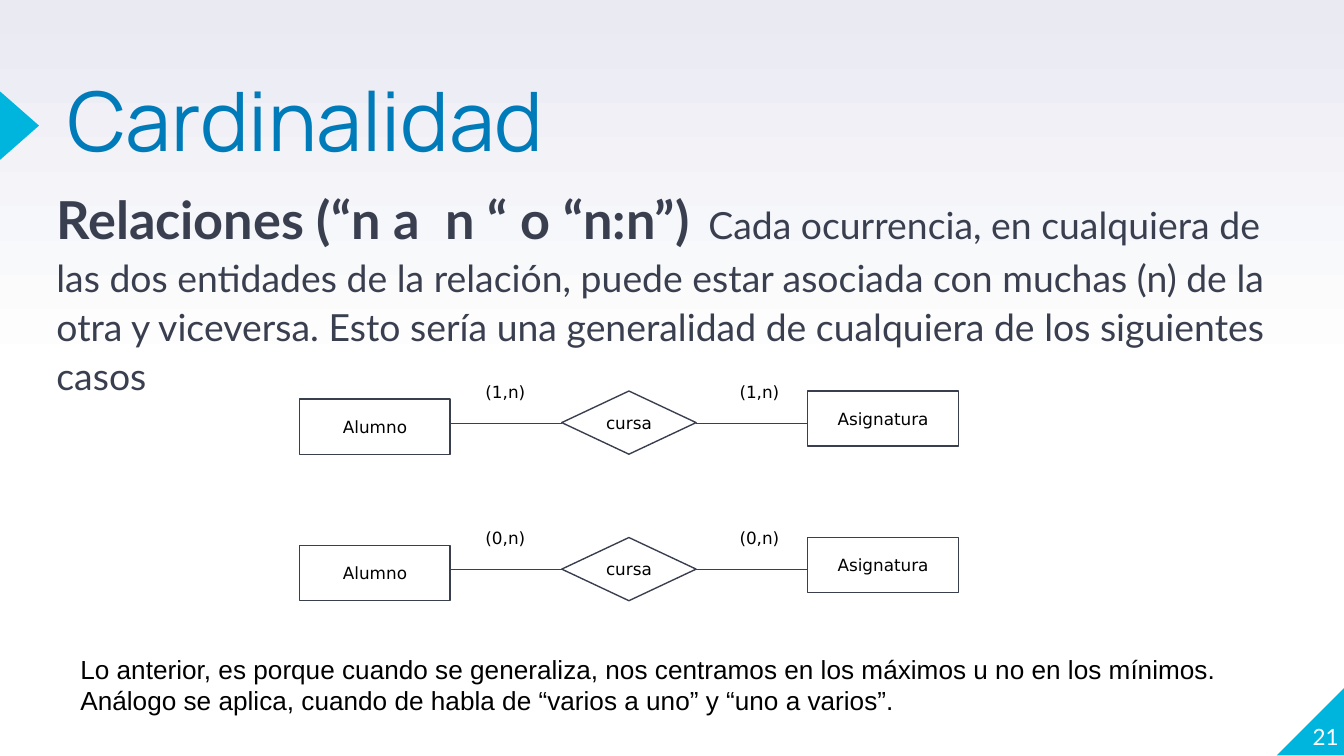
from pptx import Presentation
from pptx.dml.color import RGBColor
from pptx.enum import shapes, text
from pptx.oxml import ns
from pptx.util import Inches, Pt
from lxml import etree

COLORS = {
    "white": "FFFFFF",
    "haze": "E9EAF2",
    "cyan": "00B5DD",
    "blue": "007BB9",
    "slate": "3A3F50",
    "black": "000000",
}
KIND = shapes.MSO_SHAPE
ALIGN = text.PP_ALIGN
ANCHOR = text.MSO_ANCHOR


def rgb(name):
    return RGBColor.from_string(COLORS[name])


def inches(*values):
    return [Inches(value) for value in values]


def style_font(font, face, size, color, bold=None):
    font.name, font.size, font.bold = face, Pt(size), bold
    font.color.rgb = rgb(color)


def paint_background(slide):
    fill = slide.background.fill
    fill.gradient()
    fill.gradient_angle = 90
    for stop, position, color in zip(fill.gradient_stops, (0.5, 1), ("white", "haze")):
        stop.position = position
        stop.color.rgb = rgb(color)


def add_figure(parent, kind, box, fill, outline=None):
    figure = parent.add_shape(kind, *inches(*box))
    figure.shadow.inherit = False
    figure.fill.solid()
    figure.fill.fore_color.rgb = rgb(fill)
    if outline:
        figure.line.color.rgb = rgb(outline)
        figure.line.width = Pt(0.75)
    else:
        figure.line.fill.background()
    return figure


def add_text(parent, box, lines, face, size, color, align=ALIGN.LEFT, inset=True, wrap=True):
    frame = parent.add_textbox(*inches(*box)).text_frame
    frame.word_wrap = wrap
    if not inset:
        frame.margin_left = frame.margin_right = frame.margin_top = frame.margin_bottom = 0
    frame.text = "\n".join(lines)
    for paragraph in frame.paragraphs:
        paragraph.alignment = align
        style_font(paragraph.font, face, size, color)
    return frame


def add_node(group, kind, box, label):
    """Draw an entity or a relationship with its name inside."""
    frame = add_figure(group, kind, box, "white", "slate").text_frame
    frame.word_wrap = False
    frame.vertical_anchor = ANCHOR.MIDDLE
    frame.text = label
    paragraph = frame.paragraphs[0]
    paragraph.alignment = ALIGN.CENTER
    style_font(paragraph.font, "DejaVu Sans", 9, "black")


def add_link(group, start, end, y):
    link = group.add_connector(shapes.MSO_CONNECTOR.STRAIGHT, *inches(start, y, end, y))
    link.line.color.rgb = rgb("slate")
    link.line.width = Pt(0.75)
    etree.SubElement(link._element.spPr, ns.qn("a:effectLst"))


def add_relation(slide, top, cardinality):
    """Draw student, relationship and subject, with both cardinalities."""
    group = slide.shapes.add_group_shape().shapes
    add_node(group, KIND.RECTANGLE, (2.23, top + 0.06, 1.12, 0.41), "Alumno")
    add_node(group, KIND.DIAMOND, (4.18, top, 1, 0.47), "cursa")
    add_node(group, KIND.RECTANGLE, (6.01, top, 1.12, 0.41), "Asignatura")
    for start, end in ((3.35, 4.18), (5.18, 6.01)):
        add_link(group, start, end, top + 0.24)
    for left in (3.5, 5.39):
        add_text(group, (left, top - 0.12, 0.52, 0.25), [cardinality],
                 "DejaVu Sans", 9, "black", ALIGN.CENTER, wrap=False)


def add_definition(slide):
    frame = add_text(slide.shapes, (0.42, 1.35, 9.13, 2.43), ["Relaciones (“n a  n “ o “n:n”)"],
                     "Lato", 20, "slate", inset=False)
    paragraph = frame.paragraphs[0]
    paragraph.line_spacing = 1.1
    paragraph.space_before = paragraph.space_after = Pt(3.8)
    style_font(paragraph.runs[0].font, "Lato", 28, "slate", True)
    explanation = paragraph.add_run()
    explanation.text = (
        "  Cada ocurrencia, en cualquiera de las dos entidades de la relación, "
        "puede estar asociada con muchas (n) de la otra y viceversa. "
        "Esto sería una generalidad de cualquiera de los siguientes casos"
    )
    style_font(explanation.font, "Lato", 20, "slate", False)


def main():
    deck = Presentation()
    deck.slide_width = Inches(10)
    deck.slide_height = deck.slide_width * 9 // 16
    slide = deck.slides.add_slide(deck.slide_layouts[6])
    paint_background(slide)

    corner = add_figure(slide.shapes, KIND.RIGHT_TRIANGLE, (9.5, 5.11, 0.51, 0.51), "cyan")
    corner._element.spPr.xfrm.set("flipH", "1")
    marker = add_figure(slide.shapes, KIND.ISOSCELES_TRIANGLE, (-0.11, 0.79, 0.51, 0.29), "cyan")
    marker.rotation = 90

    title = add_text(slide.shapes, (0.5, 0.66, 8.58, 1.18), ["Cardinalidad"],
                     "Manrope", 44, "blue", inset=False)
    title.paragraphs[0].line_spacing = 0.8
    page_number = add_text(slide.shapes, (9.46, 5.07, 0.5, 0.51), ["21"],
                           "Lato", 12, "white", ALIGN.RIGHT, inset=False)
    page_number.vertical_anchor = ANCHOR.BOTTOM

    add_definition(slide)
    for top, cardinality in ((2.91, "(1,n)"), (4, "(0,n)")):
        add_relation(slide, top, cardinality)
    add_text(slide.shapes, (0.5, 4.81, 9.06, 0.57), [
        "Lo anterior, es porque cuando se generaliza, nos centramos en los máximos u no en los mínimos.",
        "Análogo se aplica, cuando de habla de “varios a uno” y “uno a varios”.",
    ], "Arial", 14, "black")
    deck.save("out.pptx")


if __name__ == "__main__":
    main()
